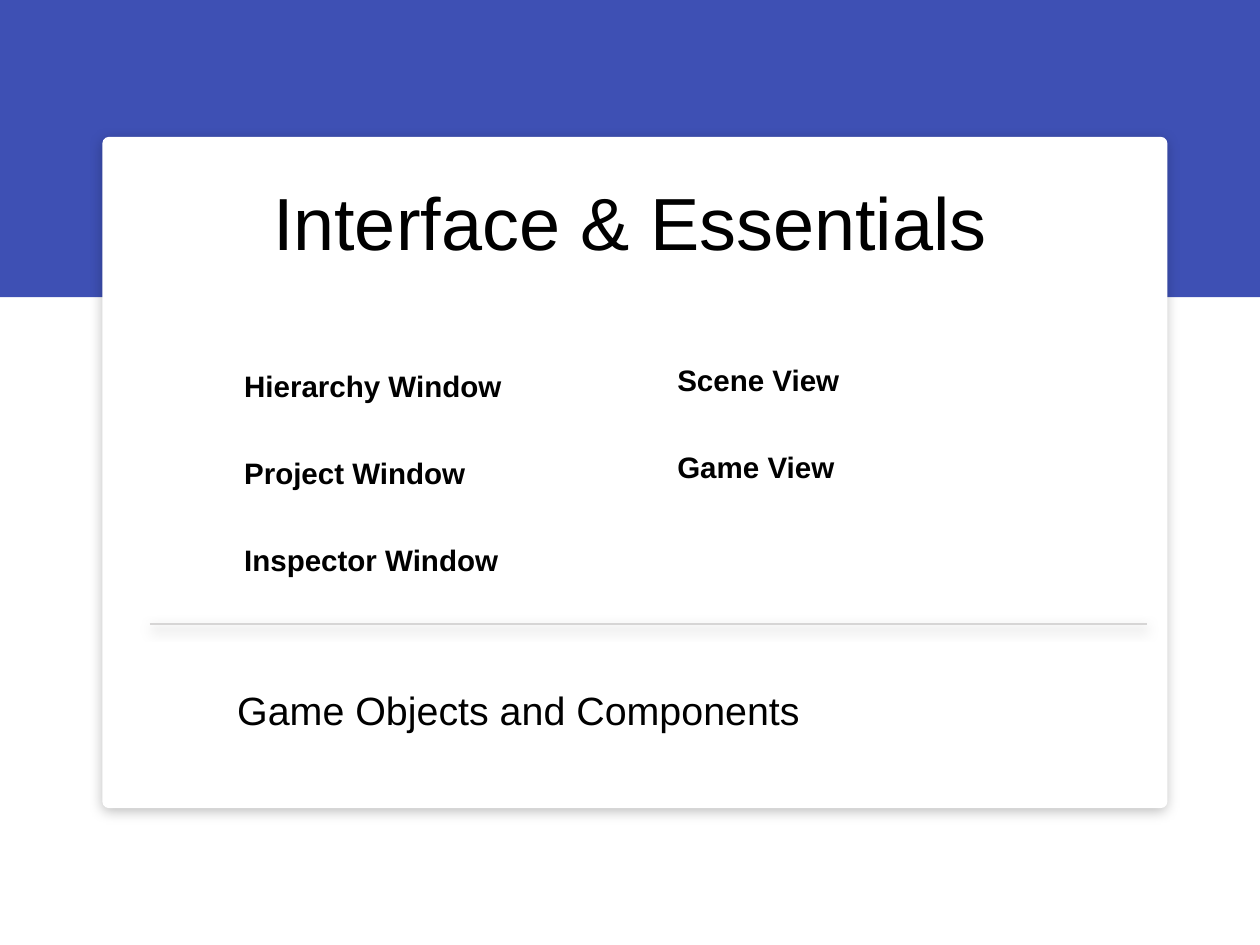
from dataclasses import dataclass

from lxml import etree
from pptx import Presentation
from pptx import util as u
from pptx.dml.color import RGBColor
from pptx.enum import shapes, text
from pptx.oxml import ns

EMU_PER_PX = 10160
BLACK, WHITE, INDIGO, GREY = "000000", "FFFFFF", "3E50B4", "D6D5D5"


@dataclass(frozen=True)
class Box:
    left: int
    top: int
    width: int
    height: int


@dataclass(frozen=True)
class Panel:
    box: Box
    kind: shapes.MSO_SHAPE
    fill: str


@dataclass(frozen=True)
class TextBlock:
    box: Box
    lines: tuple[str, ...]
    size: int
    bold: bool = False
    align: text.PP_ALIGN = text.PP_ALIGN.LEFT
    space_before: int = 42
    auto_size: text.MSO_AUTO_SIZE = text.MSO_AUTO_SIZE.SHAPE_TO_FIT_TEXT


BAND = Panel(Box(0, 0, 1280, 302), shapes.MSO_SHAPE.RECTANGLE, INDIGO)
CARD = Panel(Box(104, 139, 1082, 682), shapes.MSO_SHAPE.ROUNDED_RECTANGLE, WHITE)

TEXT_BLOCKS = (
    TextBlock(Box(125, 134, 1030, 180), ("Interface & Essentials",), 60,
              align=text.PP_ALIGN.CENTER, space_before=0,
              auto_size=text.MSO_AUTO_SIZE.NONE),
    TextBlock(Box(683, 363, 436, 134), ("Scene View", "Game View"), 24, bold=True),
    TextBlock(Box(243, 369, 374, 222),
              ("Hierarchy Window", "Project Window", "Inspector Window"), 24, bold=True),
    TextBlock(Box(236, 692, 711, 58), ("Game Objects and Components",), 32),
)


def px(length: int) -> u.Emu:
    return u.Emu(length * EMU_PER_PX)


def place(box: Box) -> tuple[u.Emu, ...]:
    return px(box.left), px(box.top), px(box.width), px(box.height)


def rgb(value: str) -> RGBColor:
    return RGBColor.from_string(value)


def add_soft_shadow(properties) -> None:
    """Add a black shadow at 25 % opacity, falling 3 pt straight down."""
    effects = properties.find(ns.qn("a:effectLst"))
    if effects is None:
        effects = etree.SubElement(properties, ns.qn("a:effectLst"))
    shadow = etree.SubElement(effects, ns.qn("a:outerShdw"), blurRad=str(u.Pt(10)),
                              dist=str(u.Pt(3)), dir="5400000", rotWithShape="0")
    colour = etree.SubElement(shadow, ns.qn("a:srgbClr"), val=BLACK)
    etree.SubElement(colour, ns.qn("a:alpha"), val="25000")


def add_panel(slide, panel: Panel):
    shape = slide.shapes.add_shape(panel.kind, *place(panel.box))
    shape.fill.solid()
    shape.fill.fore_color.rgb = rgb(panel.fill)
    shape.line.fill.background()
    shape.shadow.inherit = False
    return shape


def add_text(slide, block: TextBlock) -> None:
    frame = slide.shapes.add_textbox(*place(block.box)).text_frame
    frame.word_wrap = True
    frame.auto_size = block.auto_size
    frame.vertical_anchor = text.MSO_ANCHOR.MIDDLE
    frame.margin_left = frame.margin_right = px(5)
    frame.margin_top = frame.margin_bottom = px(5)
    frame.text = "\n".join(block.lines)
    for paragraph in frame.paragraphs:
        paragraph.alignment = block.align
        paragraph.space_before = u.Pt(block.space_before)
        paragraph.font.name = "Arial"
        paragraph.font.size = u.Pt(block.size)
        paragraph.font.bold = block.bold
        paragraph.font.color.rgb = rgb(BLACK)


def add_divider(slide, left: int, right: int, y: int) -> None:
    divider = slide.shapes.add_connector(
        shapes.MSO_CONNECTOR.STRAIGHT, px(left), px(y), px(right), px(y))
    divider.line.color.rgb = rgb(GREY)
    divider.line.width = u.Pt(2)
    add_soft_shadow(divider._element.spPr)


def main() -> None:
    presentation = Presentation()
    presentation.slide_width, presentation.slide_height = px(1280), px(960)
    slide = presentation.slides.add_slide(presentation.slide_layouts[6])

    add_panel(slide, BAND)
    card = add_panel(slide, CARD)
    card.adjustments[0] = 0.01
    add_soft_shadow(card._element.spPr)
    for block in TEXT_BLOCKS:
        add_text(slide, block)
    add_divider(slide, 152, 1165, 634)

    presentation.save("out.pptx")


if __name__ == "__main__":
    main()
